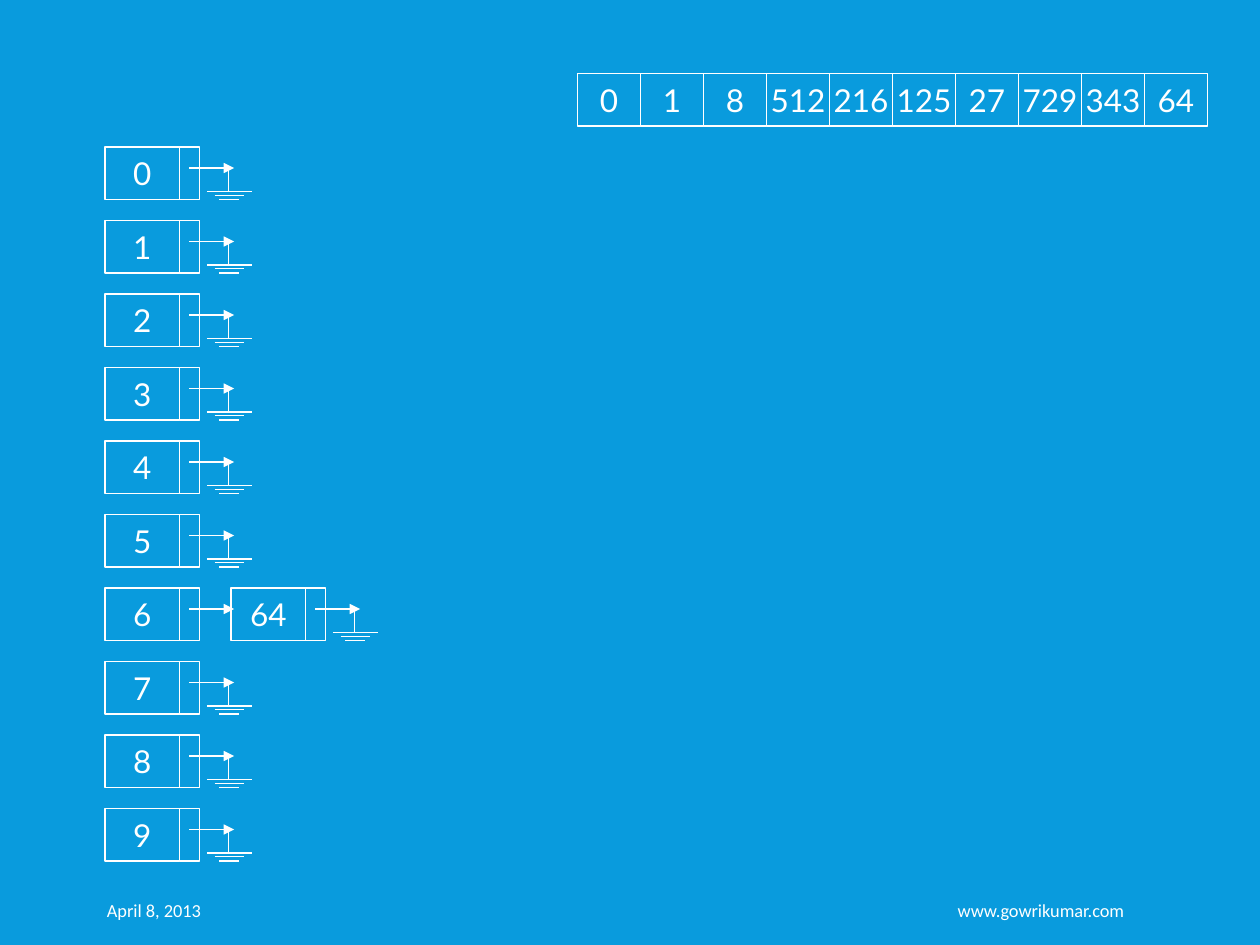
import lxml.etree
import pptx
import pptx.dml.color
import pptx.enum.shapes
import pptx.enum.text
import pptx.oxml.ns
import pptx.util

ALIGN = pptx.enum.text.PP_ALIGN
VALUES = [0, 1, 8, 512, 216, 125, 27, 729, 343, 64]
BUCKETS = {6: [64]}  # bucket number -> values chained to it

CELL_WIDTH, CELL_HEIGHT = 6, 5
LABEL_WIDTH, POINTER_WIDTH = 7.1, 1.9
NODE_STEP, BUCKET_STEP = 12, 7


def grid(count):
    """Length of a number of grid units, twelve to the inch."""
    return pptx.util.Inches(count / 12)


def colour(code):
    return pptx.dml.color.RGBColor.from_string(code)


class Diagram:
    """Style and current slide of a hash table drawing."""

    ink = "FFFFFF"
    ground_colour = "099BDD"
    line_width = 0.75

    def __init__(self, deck):
        self.page = deck.slides.add_slide(deck.slide_layouts[6])
        fill = self.page.background.fill
        fill.solid()
        fill.fore_color.rgb = colour(self.ground_colour)

    def label(self, frame, text, font, size, align):
        frame.text = text
        frame.vertical_anchor = pptx.enum.text.MSO_ANCHOR.MIDDLE
        para = frame.paragraphs[0]
        para.alignment = align
        para.font.name = font
        para.font.size = pptx.util.Pt(size)
        para.font.color.rgb = colour(self.ink)

    def outline(self, item):
        item.line.color.rgb = colour(self.ink)
        item.line.width = pptx.util.Pt(self.line_width)

    def box(self, shapes, left, top, width, text=None):
        box = shapes.add_shape(
            pptx.enum.shapes.MSO_SHAPE.RECTANGLE,
            grid(left), grid(top), grid(width), grid(CELL_HEIGHT))
        box.shadow.inherit = False
        box.fill.background()
        self.outline(box)
        if text is not None:
            self.label(box.text_frame, text, "Lato", 18, ALIGN.CENTER)
            box.text_frame.word_wrap = False

    def line(self, shapes, start, end, arrow=False):
        line = shapes.add_connector(
            pptx.enum.shapes.MSO_CONNECTOR.STRAIGHT,
            *(grid(length) for length in (*start, *end)))
        self.outline(line)
        properties = line.element.spPr
        if arrow:
            stroke = properties.find(pptx.oxml.ns.qn("a:ln"))
            lxml.etree.SubElement(
                stroke, pptx.oxml.ns.qn("a:tailEnd"), type="triangle")
        lxml.etree.SubElement(properties, pptx.oxml.ns.qn("a:effectLst"))

    def node(self, left, top, text, last):
        """Labelled list node with its pointer, earthed if it is the last."""
        shapes = self.page.shapes.add_group_shape().shapes
        self.box(shapes, left, top, LABEL_WIDTH, text)
        self.box(shapes, left + LABEL_WIDTH, top, POINTER_WIDTH)
        self.line(shapes, (left + 8, top + 2), (left + 12.3, top + 2), arrow=True)
        if last:
            self.earth(shapes, left + 11.85, top + 2)

    def earth(self, shapes, centre, top):
        for drop, width in ((2.25, 4.3), (2.6, 2.8), (3, 1.9)):
            self.line(shapes, (centre - width / 2, top + drop),
                      (centre + width / 2, top + drop))
        self.line(shapes, (centre - 0.1, top + 2.25), (centre - 0.1, top))

    def chain(self, left, top, values):
        for index, value in enumerate(values):
            self.node(left + index * NODE_STEP, top, str(value),
                      last=index == len(values) - 1)

    def cells(self, left, top, values):
        for index, value in enumerate(values):
            self.box(self.page.shapes, left + index * CELL_WIDTH, top,
                     CELL_WIDTH, str(value))

    def footer(self, left, width, text, align):
        box = self.page.shapes.add_textbox(
            grid(left), grid(84.25), grid(width), grid(4.8))
        box.text_frame.word_wrap = True
        self.label(box.text_frame, text, "Calibri", 10.5, align)


def main():
    deck = pptx.Presentation()
    deck.slide_width, deck.slide_height = grid(120), grid(90)
    diagram = Diagram(deck)
    diagram.footer(9, 34, "April 8, 2013", ALIGN.LEFT)
    diagram.footer(55, 53.25, "www.gowrikumar.com", ALIGN.RIGHT)
    diagram.cells(55, 7, VALUES)
    for bucket in range(10):
        diagram.chain(10, 14 + bucket * BUCKET_STEP,
                      [bucket, *BUCKETS.get(bucket, [])])
    deck.save("out.pptx")


if __name__ == "__main__":
    main()
